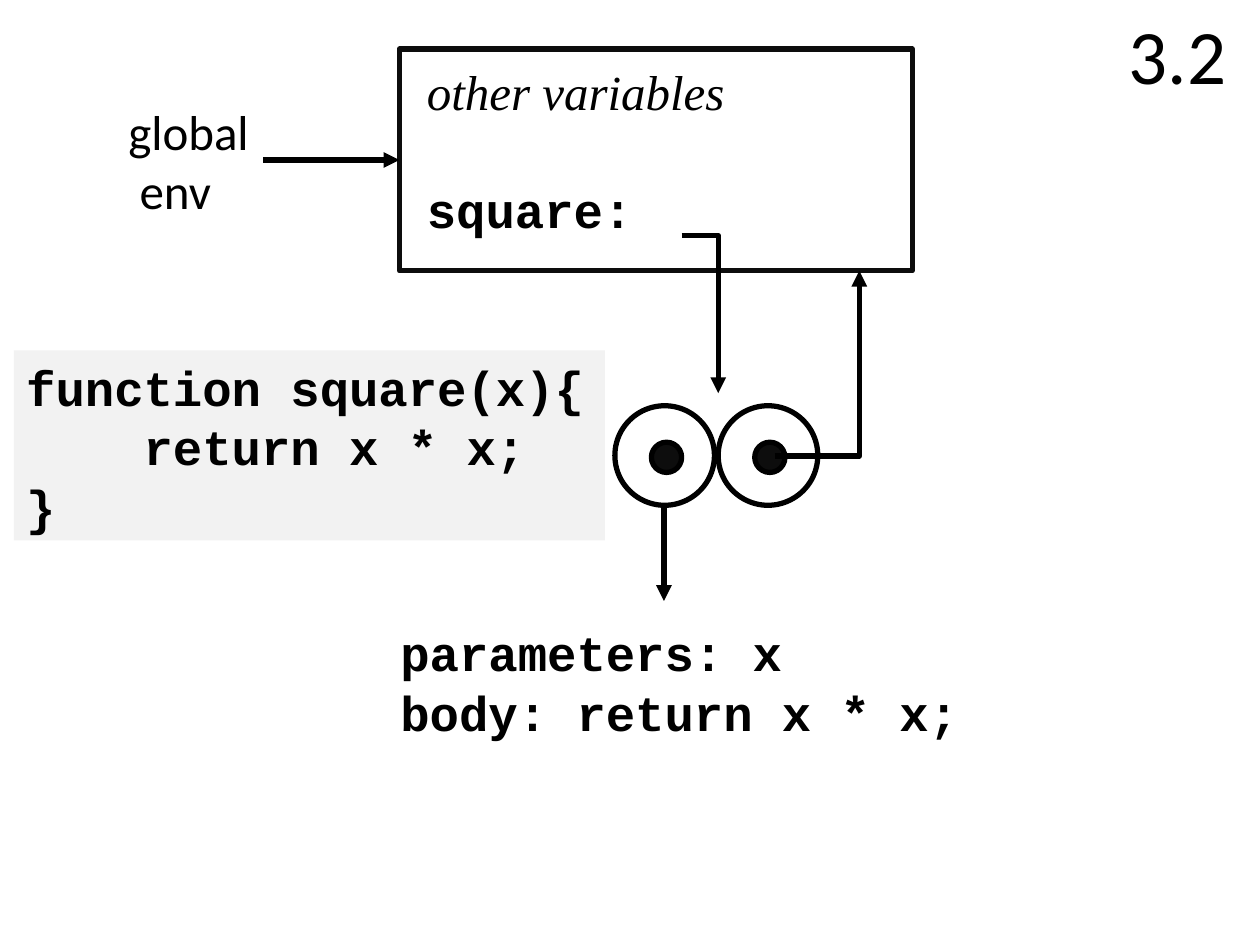
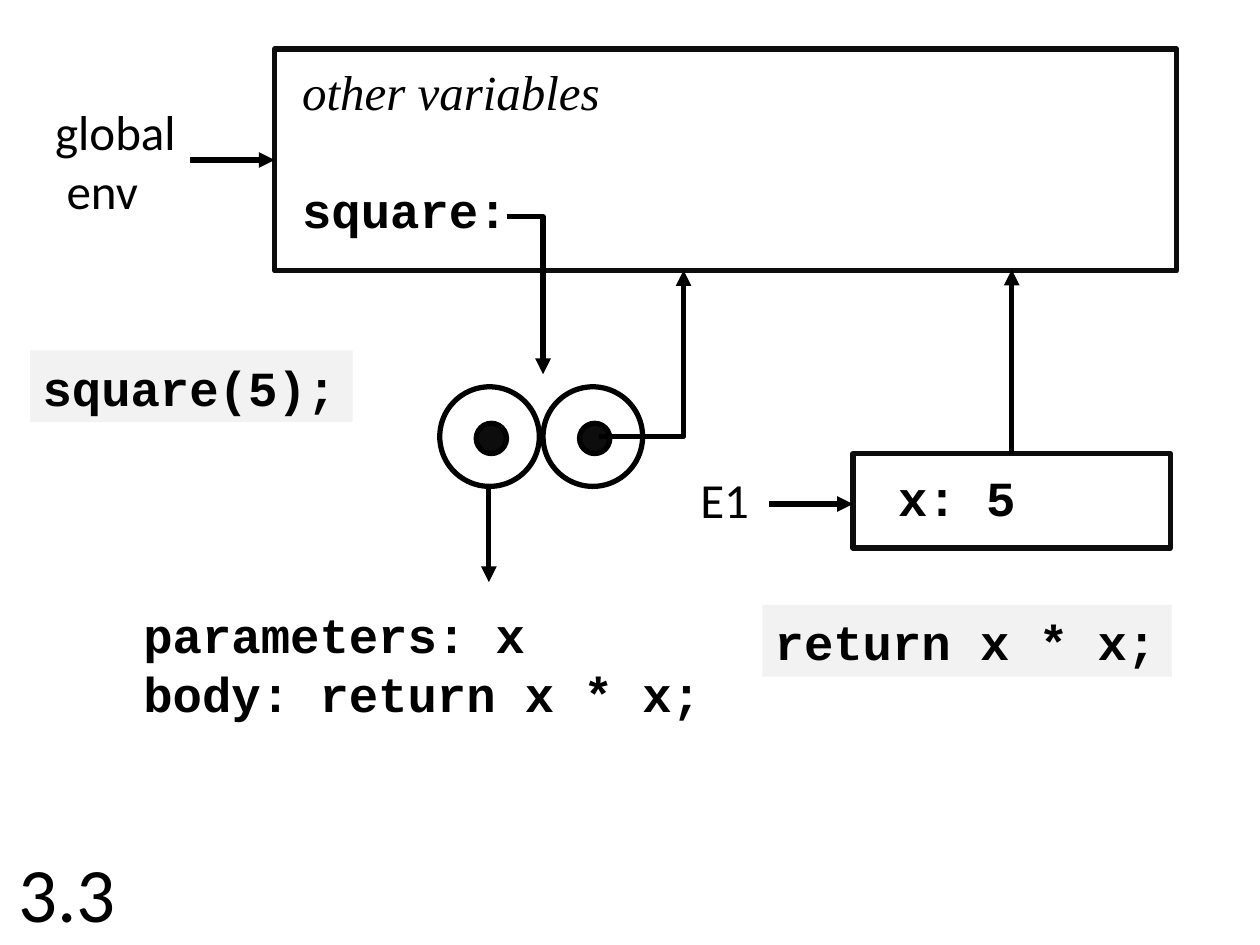
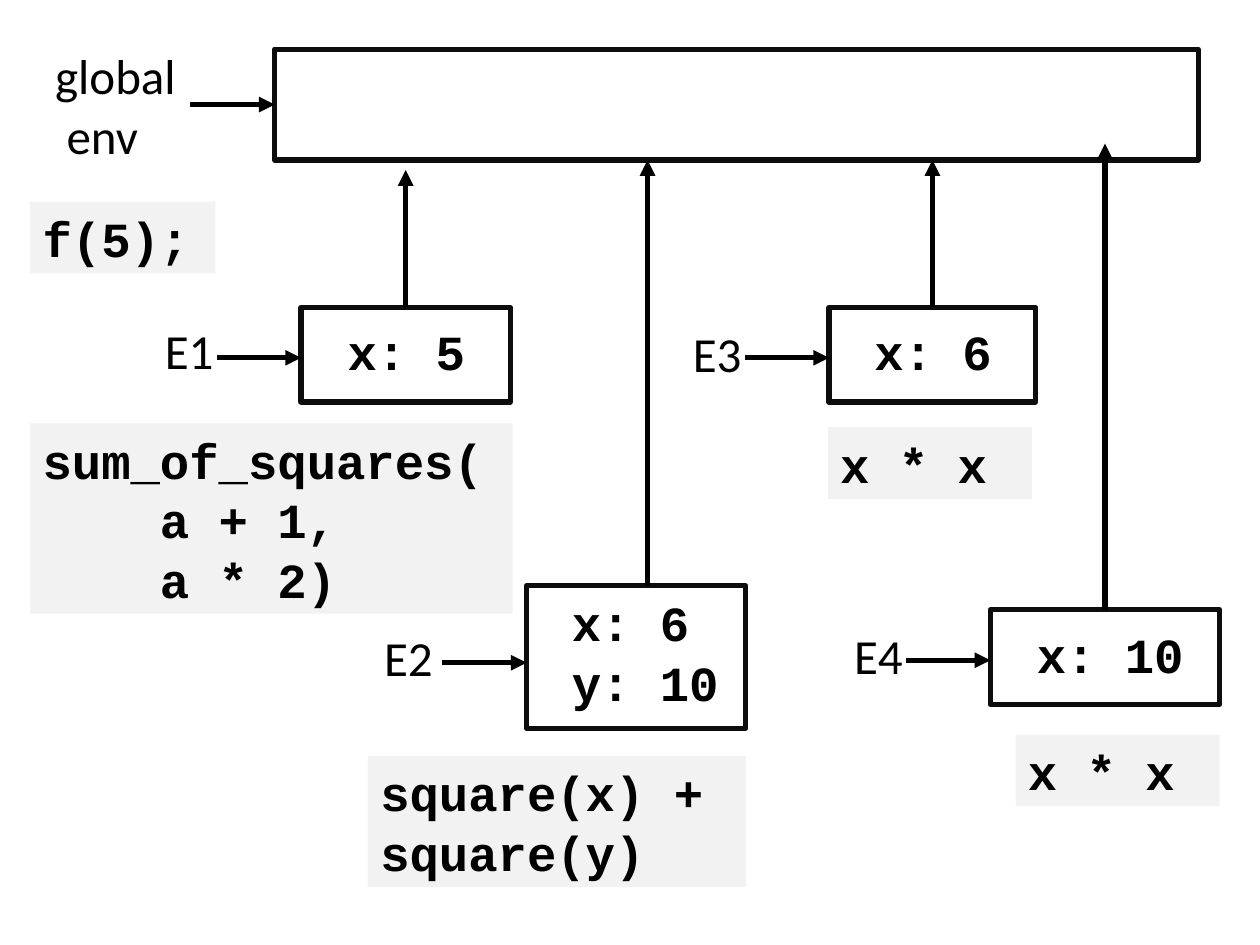
from dataclasses import dataclass

from pptx import Presentation
from pptx import util as u
from pptx.dml.color import RGBColor
from pptx.enum import shapes, text
from pptx.oxml import ns, xmlchemy
from pptx.oxml import parse_xml

PX = 9144
INK, FRAME_INK, CODE_FILL = "000000", "0D0D0D", "F2F2F2"
CODE, LABEL, NOTE = "Courier New", "Calibri", "Times New Roman"
BODY_SIZE, TITLE_SIZE, LINE_PITCH, STROKE = 28, 44, 34, 3
CIRCLE, CIRCLE_STEP, DOT, DOT_INSET = 79, 82, 24, 29


@dataclass(frozen=True)
class Box:
    x: int
    y: int
    w: int
    h: int

    @property
    def center_x(self) -> int:
        return self.x + self.w // 2

    @property
    def center_y(self) -> int:
        return self.y + self.h // 2

    def emu(self) -> list[u.Emu]:
        return [px(v) for v in (self.x, self.y, self.w, self.h)]


@dataclass(frozen=True)
class Global:
    frame: Box
    pointer_x: int


@dataclass(frozen=True)
class Closure:
    x: int
    y: int
    body_x: int


@dataclass(frozen=True)
class Env:
    name: str
    frame: Box
    bindings: tuple[str, ...]
    bindings_box: Box
    label_x: int
    label_y: int
    pointer_y: int
    parent_x: int
    parent_y: int


@dataclass(frozen=True)
class Code:
    box: Box
    lines: tuple[str, ...]


def px(length: int) -> u.Emu:
    return u.Emu(length * PX)


def rgb(value: str) -> RGBColor:
    return RGBColor.from_string(value)


def style(paragraph, font: str, size: int = BODY_SIZE) -> None:
    paragraph.font.name = font
    paragraph.font.size = u.Pt(size)
    paragraph.font.color.rgb = rgb(INK)
    paragraph.font.bold = font == CODE
    paragraph.font.italic = font == NOTE


def write(slide, box: Box, lines: tuple[str, ...], fonts: tuple[str, ...], wrap: bool = True):
    """Add a text box with one paragraph per line; the last font carries on."""
    area = slide.shapes.add_textbox(*box.emu())
    frame = area.text_frame
    frame.word_wrap = wrap
    for i, line in enumerate(lines):
        paragraph = frame.paragraphs[0] if i == 0 else frame.add_paragraph()
        paragraph.text = line
        paragraph.line_spacing = u.Pt(LINE_PITCH)
        style(paragraph, fonts[min(i, len(fonts) - 1)])
    return area


def title(slide, box: Box, number: str) -> None:
    frame = slide.shapes.add_textbox(*box.emu()).text_frame
    frame.word_wrap = True
    frame.vertical_anchor = text.MSO_ANCHOR.MIDDLE
    heading = frame.paragraphs[0]
    heading.text = number
    heading.alignment = text.PP_ALIGN.CENTER
    style(heading, LABEL, TITLE_SIZE)


def code(slide, snippet: Code) -> None:
    area = write(slide, snippet.box, snippet.lines, (CODE,))
    area.fill.solid()
    area.fill.fore_color.rgb = rgb(CODE_FILL)


def outline(slide, kind, box: Box, line: str, fill: str | None = None):
    shape = slide.shapes.add_shape(kind, *box.emu())
    shape.shadow.inherit = False
    shape.line.color.rgb = rgb(line)
    shape.line.width = u.Pt(STROKE)
    if fill:
        shape.fill.solid()
        shape.fill.fore_color.rgb = rgb(fill)
    else:
        shape.fill.background()
    return shape


def rectangle(slide, box: Box):
    return outline(slide, shapes.MSO_SHAPE.RECTANGLE, box, FRAME_INK)


def ink_arrow(connector) -> None:
    connector.line.color.rgb = rgb(INK)
    connector.line.width = u.Pt(STROKE)
    connector.line._get_or_add_ln().append(
        parse_xml(f'<a:tailEnd {ns.nsdecls("a")} type="triangle"/>'))
    connector._element.spPr.append(parse_xml(f'<a:effectLst {ns.nsdecls("a")}/>'))


def arrow(slide, x1: int, y1: int, x2: int, y2: int):
    connector = slide.shapes.add_connector(
        shapes.MSO_CONNECTOR.STRAIGHT, px(x1), px(y1), px(x2), px(y2))
    ink_arrow(connector)
    return connector


def corner_arrow(slide, x1: int, y1: int, x2: int, y2: int) -> None:
    """Draw an arrow that runs right and then turns up or down."""
    run, rise = x2 - x1, abs(y2 - y1)
    left, top = (x1 + x2 - rise) // 2, (y1 + y2 - run) // 2
    connector = slide.shapes.add_connector(
        shapes.MSO_CONNECTOR.ELBOW, px(left), px(top), px(left + rise), px(top + run))
    upward = y2 < y1
    xfrm = connector._element.spPr.find(ns.qn("a:xfrm"))
    xfrm.set("rot", str((90 if upward else 270) * 60000))
    xfrm.set("flipH", "1")
    if upward:
        xfrm.set("flipV", "1")
    geometry = connector._element.spPr.find(ns.qn("a:prstGeom"))
    for old in list(geometry):
        geometry.remove(old)
    geometry.append(parse_xml(
        f'<a:avLst {ns.nsdecls("a")}><a:gd name="adj1" fmla="val 0"/></a:avLst>'))
    ink_arrow(connector)


def global_env(slide, env: Global):
    frame = env.frame
    shape = rectangle(slide, frame)
    pointer = arrow(slide, env.pointer_x, frame.center_y, frame.x, frame.center_y)
    pointer.end_connect(shape, 1)
    label = write(slide, Box(env.pointer_x - 117, frame.center_y - 52, 117, 104),
                  ("global", "env"), (LABEL,), wrap=False)
    label.text_frame.paragraphs[1]._p.get_or_add_pPr().set("marL", str(px(9)))
    return shape


def square_binding(slide, frame: Box) -> None:
    area = write(slide, Box(frame.x + 12, frame.y + 4, 310, 151),
                 ("other variables", "square:"), (NOTE, CODE))
    area.text_frame.paragraphs[1].space_before = u.Pt(LINE_PITCH)


def closure(slide, pair: Closure, frame: Box) -> None:
    """Draw the circle pair of a function with its three arrows and its text."""
    x, y = pair.x, pair.y
    write(slide, Box(pair.body_x, y + 167, 530, 104),
          ("parameters: x", "body: return x * x;"), (CODE,))
    corner_arrow(slide, x + 53, y - 135, x + CIRCLE_STEP, y - 10)
    arrow(slide, x + 39, y + 78, x + 39, y + 155)
    oval = shapes.MSO_SHAPE.OVAL
    for left in (x, x + CIRCLE_STEP):
        outline(slide, oval, Box(left, y, CIRCLE, CIRCLE), INK)
        outline(slide, oval, Box(left + DOT_INSET, y + DOT_INSET, DOT, DOT), INK, FRAME_INK)
    corner_arrow(slide, x + 127, y + 40, x + 194, frame.y + frame.h)


def local_env(slide, env: Env, parent, parent_frame: Box) -> None:
    frame = env.frame
    shape = rectangle(slide, frame)
    write(slide, env.bindings_box, env.bindings, (CODE,))
    write(slide, Box(env.label_x, env.label_y, 59, 57), (env.name,), (LABEL,), wrap=False)
    arrow(slide, frame.x - 67, env.pointer_y, frame.x, env.pointer_y)
    link = arrow(slide, env.parent_x, frame.y, env.parent_x, env.parent_y)
    if env.parent_x == frame.center_x:
        link.begin_connect(shape, 0)
    if (env.parent_x, env.parent_y) == (parent_frame.center_x, parent_frame.y + parent_frame.h):
        link.end_connect(parent, 2)


@dataclass(frozen=True)
class Figure:
    world: Global
    codes: tuple[Code, ...]
    envs: tuple[Env, ...] = ()
    pair: Closure | None = None
    number: str = ""
    number_box: Box | None = None


FIGURES = (
    Figure(
        Global(Box(317, 39, 407, 176), 209),
        (Code(Box(11, 278, 469, 151), ("function square(x){", "    return x * x;", "}")),),
        pair=Closure(488, 322, 308), number="3.2", number_box=Box(867, 0, 135, 85)),
    Figure(
        Global(Box(218, 39, 716, 176), 151),
        (Code(Box(24, 278, 256, 57), ("square(5);",)),
         Code(Box(605, 480, 325, 57), ("return x * x;",))),
        (Env("E1", Box(677, 360, 252, 75), ("x: 5",), Box(703, 366, 170, 57),
             546, 367, 400, 803, 214),),
        Closure(349, 307, 104), "3.3", Box(3, 665, 101, 85)),
    Figure(
        Global(Box(218, 39, 733, 88), 151),
        (Code(Box(24, 160, 147, 57), ("f(5);",)),
         Code(Box(24, 336, 383, 151), ("sum_of_squares(", "    a + 1,", "    a * 2)")),
         Code(Box(292, 600, 300, 104), ("square(x) +", "square(y)")),
         Code(Box(657, 339, 162, 57), ("x * x",)),
         Code(Box(806, 583, 162, 57), ("x * x",))),
        (Env("E1", Box(239, 244, 166, 75), ("x: 5",), Box(266, 250, 121, 57),
             121, 249, 284, 322, 135),
         Env("E2", Box(418, 465, 174, 113), ("x: 6", "y: 10"), Box(444, 465, 138, 104),
             295, 493, 526, 514, 127),
         Env("E3", Box(658, 244, 164, 75), ("x: 6",), Box(684, 250, 121, 57),
             540, 251, 284, 740, 127),
         Env("E4", Box(786, 484, 182, 75), ("x: 10",), Box(813, 490, 138, 57),
             668, 491, 524, 877, 114))),
)


def draw(slide, figure: Figure) -> None:
    frame = figure.world.frame
    if figure.number_box:
        title(slide, figure.number_box, figure.number)
    world = global_env(slide, figure.world)
    if figure.pair:
        square_binding(slide, frame)
        closure(slide, figure.pair, frame)
    for snippet in figure.codes:
        code(slide, snippet)
    for env in figure.envs:
        local_env(slide, env, world, frame)


def main() -> None:
    deck = Presentation()
    deck.slide_width, deck.slide_height = px(1000), px(750)
    for figure in FIGURES:
        draw(deck.slides.add_slide(deck.slide_layouts[6]), figure)
    deck.save("out.pptx")


if __name__ == "__main__":
    main()
